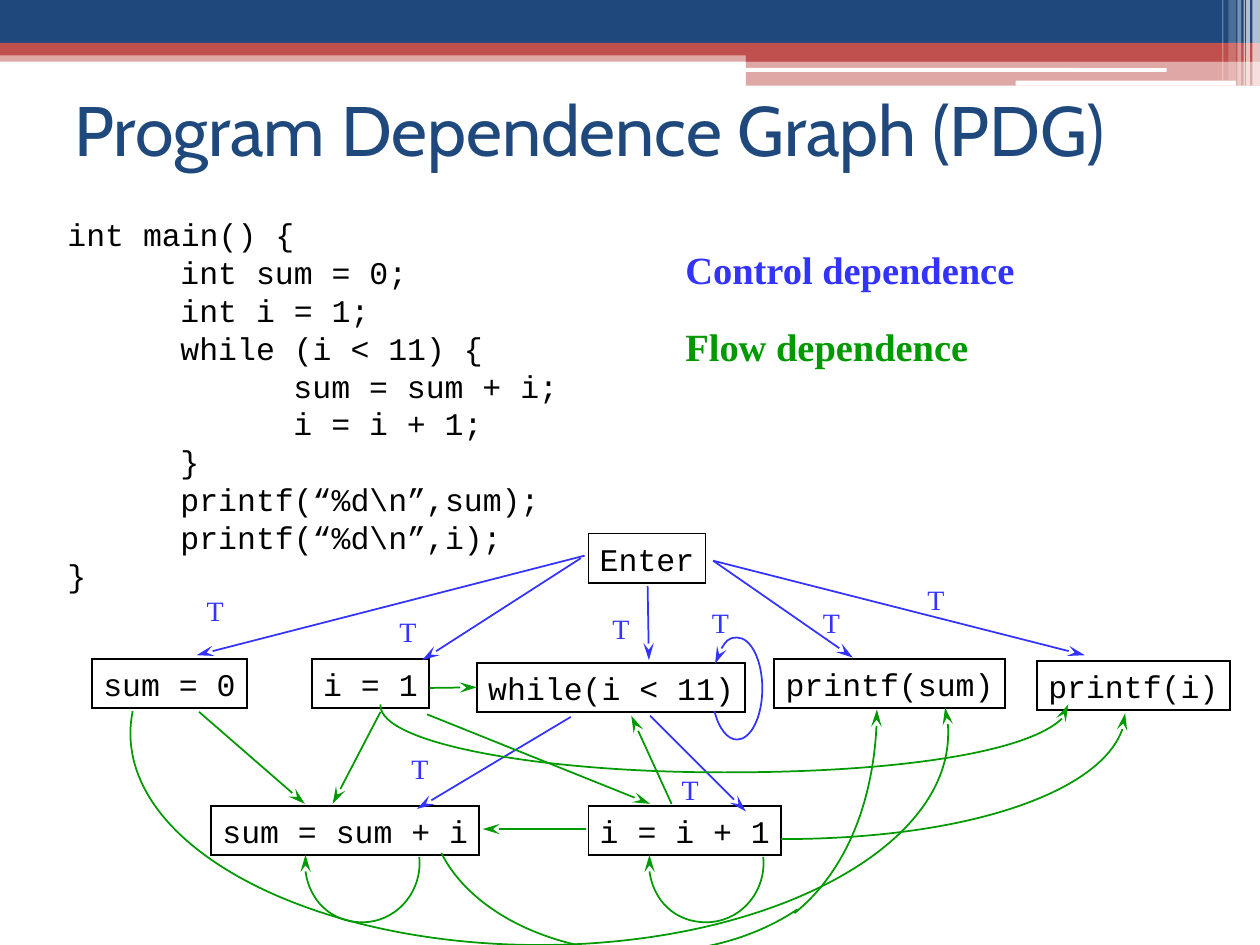
from math import ceil, cos, floor, radians, sin, tan

from lxml import etree
from pptx import Presentation
from pptx.dml.color import RGBColor
from pptx.enum.shapes import MSO_CONNECTOR, MSO_SHAPE
from pptx.enum.text import MSO_ANCHOR, PP_ALIGN
from pptx.oxml.ns import qn
from pptx.util import Inches, Pt

RECT, ROUND = MSO_SHAPE.RECTANGLE, MSO_SHAPE.ROUNDED_RECTANGLE
STRAIGHT = MSO_CONNECTOR.STRAIGHT
TOP, MIDDLE, LEFT = MSO_ANCHOR.TOP, MSO_ANCHOR.MIDDLE, PP_ALIGN.LEFT

THEME = {
    "navy": "1F497D", "red": "C0504D", "white": "FFFFFF", "black": "000000",
    "control": "3333FF", "flow": "009900",
    "title": ("Cabin", 40, False), "code": ("Courier New", 18, False),
    "legend": ("Times New Roman", 22, True), "label": ("Times New Roman", 16, False),
    "line": 1,
}

prs = Presentation()
prs.slide_width, prs.slide_height = Inches(10), Inches(7.5)
s = prs.slides.add_slide(prs.slide_layouts[6])
U = prs.slide_width // 100
TAB = int(8.97 * U)


def write(sp, text, style, color, anchor=TOP):
    name, size, bold = THEME[style]
    tf = sp.text_frame
    tf.text = text
    tf.word_wrap = False
    tf.vertical_anchor = anchor
    tf.margin_left = tf.margin_right = int(0.9 * U)
    tf.margin_top = tf.margin_bottom = int(0.5 * U)
    for p in tf.paragraphs:
        p.alignment = LEFT
        if "\t" in p.text:
            tabs = etree.SubElement(p._p.get_or_add_pPr(), qn("a:tabLst"))
            for n in (1, 2):
                etree.SubElement(tabs, qn("a:tab"), pos=str(n * TAB), algn="l")
        for r in p.runs:
            r.font.name, r.font.size, r.font.bold = name, Pt(size), bold
            r.font.color.rgb = RGBColor.from_string(THEME[color])


def stroke(sp, color, arrow=True):
    sp.line.color.rgb = RGBColor.from_string(THEME[color])
    sp.line.width = Pt(THEME["line"])
    ln = sp.line._get_or_add_ln()
    etree.SubElement(ln, qn("a:miter"), lim="800000")
    if arrow:
        etree.SubElement(ln, qn("a:tailEnd"), type="stealth", w="med", len="lg")
    etree.SubElement(sp._element.spPr, qn("a:effectLst"))


bands = [
    (RECT, (0, 4, 100, 0.9), "red", 50),
    (RECT, (0, 0, 100, 3.4), "navy", 100),
    (RECT, (0, 3.4, 100, 1), "red", 100),
    (RECT, (59.2, 3.9, 40.8, 1), "red", 100),
    (RECT, (59.2, 4.8, 40.8, 2), "red", 50),
    (ROUND, (59.1, 5.4, 33.5, 0.3), "white", 100),
    (ROUND, (80.6, 6.4, 17.5, 0.4), "white", 100),
    (RECT, (99.4, 0, 0.6, 6.8), "white", 65),
    (RECT, (98.9, 0, 0.3, 6.8), "white", 65),
    (RECT, (98.7, 0, 0.1, 6.8), "white", 60),
    (RECT, (98.2, 0, 0.3, 6.8), "white", 40),
    (RECT, (97.5, 0, 0.6, 6.4), "white", 20),
    (RECT, (97, 0, 0.1, 6.4), "white", 30),
]
for kind, at, color, alpha in bands:
    sp = s.shapes.add_shape(kind, *[int(v * U) for v in at])
    sp.shadow.inherit = False
    sp.fill.solid()
    sp.fill.fore_color.rgb = RGBColor.from_string(THEME[color])
    sp.line.fill.background()
    if alpha < 100:
        clr = sp._element.spPr.find(".//" + qn("a:srgbClr"))
        etree.SubElement(clr, qn("a:alpha"), val=str(alpha * 1000))

code = r"""int main() {
	int sum = 0;
	int i = 1;
	while (i < 11) {
		sum = sum + i;
		i = i + 1;
	}
	printf(“%d\n”,sum);
	printf(“%d\n”,i);
}"""
texts = [
    ((5, 5.5, 90, 9.4), "Program Dependence Graph (PDG)", "title", "navy", MIDDLE),
    ((4.45, 16.6, 40.8, 30.9), code, "code", "black", TOP),
    ((53.5, 19.05, 28, 4.6), "Control dependence", "legend", "control", TOP),
    ((53.5, 25.15, 24.3, 4.6), "Flow dependence", "legend", "flow", TOP),
]
label_spots = [(15.5, 46.65), (30.8, 48.3), (47.7, 48.05), (55.6, 47.6),
               (64.4, 47.6), (72.7, 45.75), (31.75, 59.15), (53.2, 60.8)]
texts += [((x, y, 3.2, 3.6), "T", "label", "control", TOP) for x, y in label_spots]
for at, text, style, color, anchor in texts:
    sp = s.shapes.add_textbox(*[int(v * U) for v in at])
    write(sp, text, style, color, anchor)

nodes = {}
for text, x, y, w in [
    ("Enter", 46.7, 42.35, 9.3),
    ("sum = 0", 7.3, 52.3, 12.3),
    ("i = 1", 24.75, 52.3, 9.3),
    ("while(i < 11)", 37.85, 52.6, 21.3),
    ("printf(sum)", 61.45, 52.3, 18.3),
    ("printf(i)", 82.3, 52.45, 15.3),
    ("sum = sum + i", 16.75, 63.95, 21.3),
    ("i = i + 1", 46.7, 63.95, 15.3),
]:
    sp = s.shapes.add_shape(RECT, *[int(v * U) for v in (x, y, w, 3.9)])
    sp.fill.background()
    stroke(sp, "black", False)
    write(sp, text, "code", "black")
    nodes[text] = sp

edges = [
    ("control", (46.4, 44.1, 15.6, 52), None),
    ("control", (46.1, 44.3, 33.5, 52.4), None),
    ("control", (51.4, 46.5, 51.5, 52.4), None),
    ("control", (56.6, 44.5, 67.7, 52.2), None),
    ("control", (56.6, 44.5, 86.1, 52), None),
    ("control", (45.3, 56.9, 33.1, 64.2), None),
    ("control", (51.6, 56.8, 59.2, 64.4), None),
    ("flow", (15.8, 56.5, 24.2, 63.8), None),
    ("flow", (30.2, 56.5, 26.4, 63.8), None),
    ("flow", (34.1, 54.6, 37.9, 54.6), "while(i < 11)"),
    ("flow", (33.9, 56.7, 51.6, 63.8), None),
    ("flow", (53.3, 63.8, 50.1, 56.8), None),
    ("flow", (46.5, 65.8, 38.3, 65.8), None),
]
for color, ends, target in edges:
    sp = s.shapes.add_connector(STRAIGHT, *[int(v * U) for v in ends])
    if target:
        sp.end_connect(nodes[target], 1)
    stroke(sp, color)

arcs = [
    ("flow", (42.8, 58.2), (32.45, 16.8), (186, -7), True),
    ("flow", (57.5, 56), (27.3, 5.3), (181, -1), True),
    ("flow", (28.75, 68.5), (4.55, 4.7), (-6, 188), True),
    ("flow", (56.05, 68.5), (4.55, 4.7), (-6, 188), True),
    ("flow", (51.2, 63.9), (17.1, 11.7), (161, 45), False),
    ("flow", (56.9, 56.3), (12.7, 18.5), (61, 0), True),
    ("flow", (62, 56.6), (27.3, 10), (90, 0), True),
    ("control", (58.5, 54.65), (2, 4.05), (514, 209), True),
]
for color, (cx, cy), (rx, ry), (start, stop), arrow in arcs:
    low, high = sorted((start, stop))
    quarters = range(90 * (floor(low / 90) + 1), 90 * ceil(high / 90), 90)
    knots = sorted([low, *quarters, high], reverse=start > stop)
    pts = [(cos(radians(start)), sin(radians(start)))]
    for a, b in zip(knots, knots[1:]):
        a, b = radians(a), radians(b)
        k = 4 / 3 * tan((b - a) / 4)
        pts += [(cos(a) - k * sin(a), sin(a) + k * cos(a)),
                (cos(b) + k * sin(b), sin(b) - k * cos(b)), (cos(b), sin(b))]
    pts = [(int((cx + rx * x) * U), int((cy + ry * y) * U)) for x, y in pts]
    fb = s.shapes.build_freeform(*pts[0])
    fb.add_line_segments(pts[1:], close=False)
    sp = fb.convert_to_shape()
    legs = sp._element.spPr.findall(".//" + qn("a:lnTo"))
    outline = legs[0].getparent()
    for n in range(0, len(legs), 3):
        curve = etree.SubElement(outline, qn("a:cubicBezTo"))
        for leg in legs[n:n + 3]:
            curve.append(leg[0])
            outline.remove(leg)
    sp.fill.background()
    stroke(sp, color, arrow)

prs.save("out.pptx")
